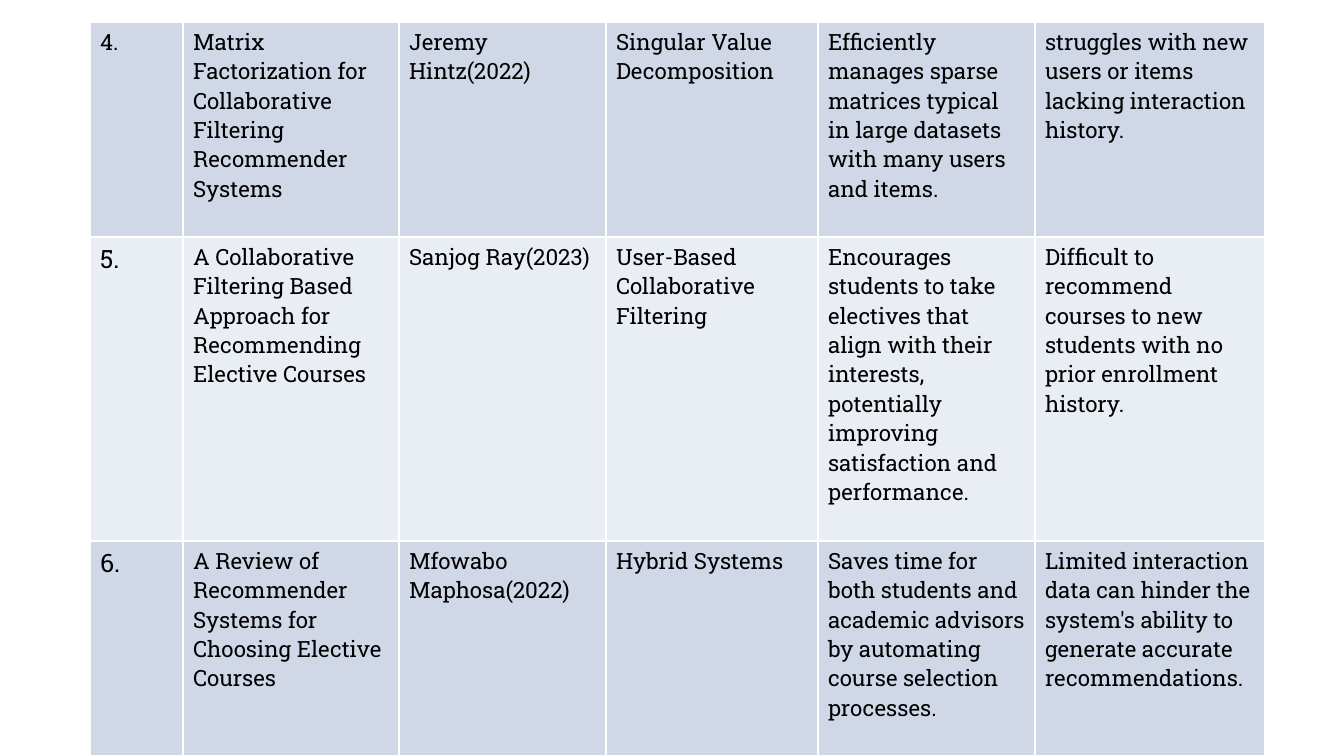
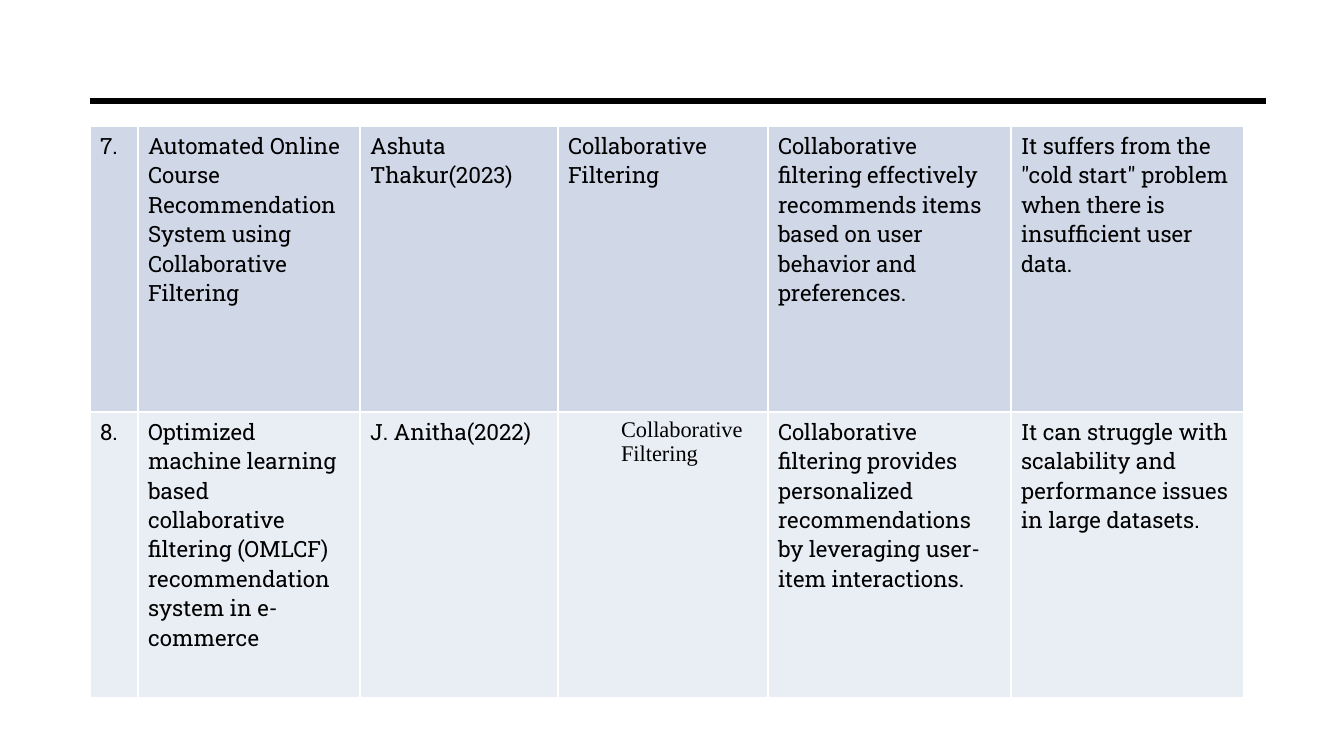
from lxml.etree import SubElement
from pptx import Presentation
from pptx.dml.color import RGBColor
from pptx.enum.shapes import MSO_CONNECTOR
from pptx.oxml.ns import qn
from pptx.util import Pt

PX = 914400 / 100.8
LEFT = 90
BLACK = "000000"
WHITE = "FFFFFF"
BANDS = ["D0D8E8", "E9EDF4"]
FONT = "Roboto Slab"
INDENTED_FONT = "Times New Roman"


def px(length):
    return round(length * PX)


def color(value):
    return RGBColor.from_string(value)


surveys = [
    {
        "top": 22,
        "columns": [93, 216, 207, 212, 217, 230],
        "rows": [215, 304, 215],
        "number_sizes": [16, 18, 18],
        "indented": [],
        "papers": [
            ["4.", "Matrix Factorization for Collaborative Filtering Recommender Systems",
             "Jeremy Hintz(2022)", "Singular Value Decomposition",
             "Efficiently manages sparse matrices typical in large datasets with many users and items.",
             "struggles with new users or items lacking interaction history."],
            ["5.", "A Collaborative Filtering Based Approach for\nRecommending Elective Courses",
             "Sanjog Ray(2023)", "User-Based Collaborative Filtering",
             "Encourages students to take electives that align with their interests, "
             "potentially improving satisfaction and performance.",
             "Difficult to recommend courses to new students with no prior enrollment history."],
            ["6.", "A Review of Recommender Systems for Choosing Elective Courses",
             "Mfowabo Maphosa(2022)", "Hybrid Systems",
             "Saves time for both students and academic advisors by automating course selection processes.",
             "Limited interaction data can hinder the system's ability to generate accurate recommendations."],
        ],
    },
    {
        "top": 126,
        "columns": [48, 222, 198, 210, 243, 233],
        "rows": [286, 286],
        "number_sizes": [16, 16],
        "indented": [(1, 3)],
        "papers": [
            ["7.", "Automated Online Course Recommendation System using Collaborative Filtering",
             "Ashuta Thakur(2023)", "Collaborative Filtering",
             "Collaborative filtering effectively recommends items based on user behavior and preferences.",
             "It suffers from the \"cold start\" problem when there is insufficient user data."],
            ["8.", "Optimized machine learning based collaborative filtering (OMLCF) "
             "recommendation system in e-commerce",
             "J. Anitha(2022)", "Collaborative Filtering",
             "Collaborative filtering provides personalized recommendations by leveraging user-item interactions.",
             "It can struggle with scalability and performance issues in large datasets."],
        ],
    },
]

deck = Presentation()
deck.slide_width = px(1344)
deck.slide_height = px(756)
blank_layout = deck.slide_layouts[6]
pages = [deck.slides.add_slide(blank_layout) for survey in surveys]

rule = pages[0].shapes.add_connector(MSO_CONNECTOR.STRAIGHT, px(LEFT), px(101), px(1266), px(101))
rule.line.color.rgb = color(BLACK)
rule.line.width = Pt(4.5)
SubElement(rule.element.spPr, qn("a:effectLst"))
deck.slide_master.shapes.element.append(rule.element)

for page, survey in zip(pages, surveys):
    columns, rows = survey["columns"], survey["rows"]
    table = page.shapes.add_table(
        len(rows), len(columns), px(LEFT), px(survey["top"]), px(sum(columns)), px(sum(rows))
    ).table
    table.first_row = False
    table.horz_banding = False
    for column, width in zip(table.columns, columns):
        column.width = px(width)
    for row_index, paper in enumerate(survey["papers"]):
        table.rows[row_index].height = px(rows[row_index])
        for column_index, text in enumerate(paper):
            cell = table.cell(row_index, column_index)
            properties = cell._tc.get_or_add_tcPr()
            for side in ["a:lnL", "a:lnR", "a:lnT", "a:lnB"]:
                border = SubElement(properties, qn(side), w=str(Pt(1)))
                border_fill = SubElement(border, qn("a:solidFill"))
                SubElement(border_fill, qn("a:srgbClr"), val=WHITE)
            cell.fill.solid()
            cell.fill.fore_color.rgb = color(BANDS[row_index % 2])
            cell.text_frame.text = text
            indented = (row_index, column_index) in survey["indented"]
            for para in cell.text_frame.paragraphs:
                if indented:
                    para._p.get_or_add_pPr().set("marL", str(px(53)))
                for span in para.runs:
                    span.font.name = INDENTED_FONT if indented else FONT
                    span.font.size = Pt(16 if column_index else survey["number_sizes"][row_index])
                    span.font.color.rgb = color(BLACK)

deck.save("out.pptx")
